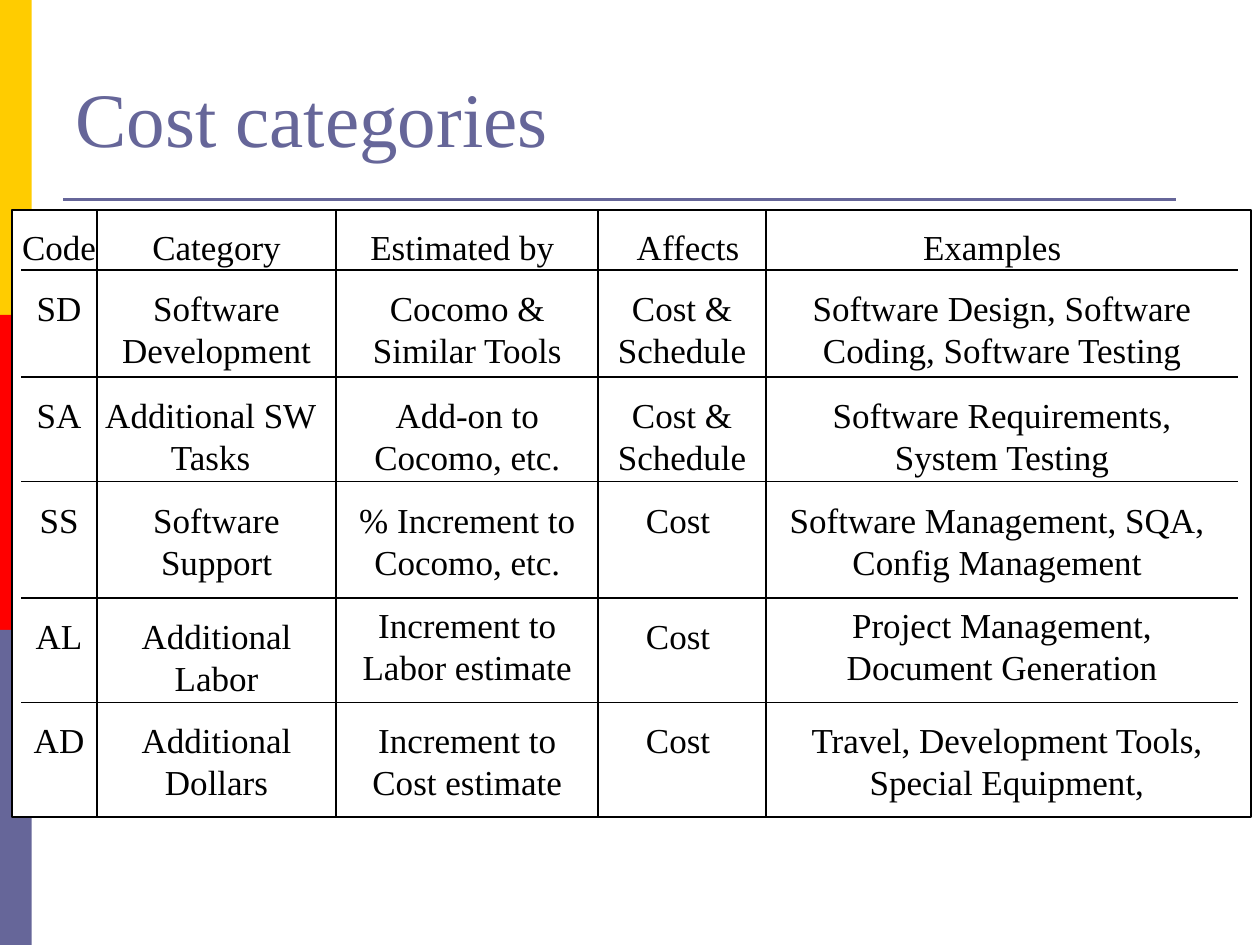
from itertools import accumulate

from lxml.etree import SubElement
from pptx import Presentation
from pptx.dml.color import RGBColor
from pptx.enum.shapes import MSO_CONNECTOR, MSO_SHAPE
from pptx.enum.text import MSO_ANCHOR, PP_ALIGN
from pptx.oxml.ns import qn
from pptx.util import Cm, Pt

FONT = "Times New Roman"
BLACK, WHITE, SLATE = "000000", "FFFFFF", "666699"
BAND_COLORS = ["FFCC00", "FF0000", SLATE]

TABLE_LEFT, TABLE_TOP = 0.43, 4.22
COL_WIDTHS = [1.52, 4.83, 5.28, 3.38, 9.52]
COL_MARGINS = [0, 0.25, 0.3, 0.25, 0.5]
ROW_HEIGHTS = [1.22, 2.16, 2.11, 2.34, 2.11, 2.31]
ROWS = [
    ["Code", "Category", "Estimated by", "Affects", "Examples"],
    ["SD", "Software Development", "Cocomo & Similar Tools", "Cost & Schedule",
     "Software Design, Software Coding, Software Testing"],
    ["SA", "Additional SW Tasks", "Add-on to Cocomo, etc.", "Cost & Schedule",
     "Software Requirements, System Testing"],
    ["SS", "Software Support", "% Increment to Cocomo, etc.", "Cost",
     "Software Management, SQA, Config Management"],
    ["AL", "Additional Labor", "Increment to Labor estimate", "Cost",
     "Project Management, Document Generation"],
    ["AD", "Additional Dollars", "Increment to Cost estimate", "Cost",
     "Travel, Development Tools, Special Equipment,"],
]
RAISED_CELLS = {(4, 2), (4, 4)}
# Sideways nudge of a cell's text, by (row, column)
NUDGES = {(0, 2): -0.1, (0, 3): 0.12, (0, 4): -0.2, (2, 1): -0.12,
          (3, 3): -0.08, (4, 3): -0.08, (5, 3): -0.08,
          (3, 4): -0.1, (5, 4): 0.1}


def rgb(value):
    return RGBColor.from_string(value)


class SlideBuilder:
    def __init__(self, slide):
        self.slide = slide

    def run(self, p, text, size, color):
        r = p.add_run()
        r.text = text
        r.font.name = FONT
        r.font.size = Pt(size)
        r.font.color.rgb = rgb(color)

    def rect(self, left, top, width, height, fill, line=None):
        sp = self.slide.shapes.add_shape(
            MSO_SHAPE.RECTANGLE, Cm(left), Cm(top), Cm(width), Cm(height))
        sp.shadow.inherit = False
        sp.fill.solid()
        sp.fill.fore_color.rgb = rgb(fill)
        if line:
            sp.line.color.rgb = rgb(line)
            sp.line.width = Pt(1)
        else:
            sp.line.fill.background()

    def line(self, x1, y1, x2, y2, color=BLACK, weight=1):
        cxn = self.slide.shapes.add_connector(
            MSO_CONNECTOR.STRAIGHT, Cm(x1), Cm(y1), Cm(x2), Cm(y2))
        cxn.line.color.rgb = rgb(color)
        cxn.line.width = Pt(weight)
        SubElement(cxn._element.spPr, qn("a:effectLst"))

    def title(self, text, left, top, width, height):
        box = self.slide.shapes.add_textbox(
            Cm(left), Cm(top), Cm(width), Cm(height))
        tf = box.text_frame
        tf.word_wrap = True
        tf.vertical_anchor = MSO_ANCHOR.MIDDLE
        self.run(tf.paragraphs[0], text, 44, SLATE)

    def clear_borders(self, cell):
        tc_pr = cell._tc.get_or_add_tcPr()
        for side in "LRTB":
            SubElement(SubElement(tc_pr, qn(f"a:ln{side}")), qn("a:noFill"))

    def table(self, left, top):
        """Add the cost table without borders; its rules are lines."""
        table = self.slide.shapes.add_table(
            len(ROWS), len(COL_WIDTHS), Cm(left), Cm(top),
            Cm(sum(COL_WIDTHS)), Cm(sum(ROW_HEIGHTS))).table
        table.first_row = table.horz_banding = False
        for col, width in zip(table.columns, COL_WIDTHS):
            col.width = Cm(width)
        for row, height in zip(table.rows, ROW_HEIGHTS):
            row.height = Cm(height)
        for i, texts in enumerate(ROWS):
            for j, text in enumerate(texts):
                cell = table.cell(i, j)
                self.clear_borders(cell)
                cell.fill.background()
                nudge = NUDGES.get((i, j), 0)
                cell.margin_left = Cm(COL_MARGINS[j] + nudge)
                cell.margin_right = Cm(COL_MARGINS[j] - nudge)
                cell.margin_top = Cm(0.13 if (i, j) in RAISED_CELLS else 0.34)
                cell.margin_bottom = 0
                p = cell.text_frame.paragraphs[0]
                p.alignment = PP_ALIGN.CENTER
                p.line_spacing = Pt(24)
                self.run(p, text, 20, BLACK)

    def table_rules(self, left, top):
        """Draw the lines between the table's rows and columns."""
        *xs, right = accumulate(COL_WIDTHS, initial=left)
        *ys, bottom = accumulate(ROW_HEIGHTS, initial=top)
        for x in xs[1:]:
            self.line(x, top, x, bottom)
        for y in ys[1:]:
            self.line(left, y, right, y)


def main():
    prs = Presentation()
    prs.slide_width, prs.slide_height = Cm(25.4), Cm(19.05)
    s = SlideBuilder(prs.slides.add_slide(prs.slide_layouts[6]))
    for i, color in enumerate(BAND_COLORS):
        s.rect(0, i * 6.35, 0.64, 6.35, color)
    s.line(1.27, 4.02, 23.7, 4.02, SLATE, 1.5)
    s.title("Cost categories", 1.27, 0.76, 22.86, 3.18)
    s.rect(0.25, 4.23, 24.97, 12.24, WHITE, BLACK)
    s.table(TABLE_LEFT, TABLE_TOP)
    s.table_rules(TABLE_LEFT, TABLE_TOP)
    prs.save("out.pptx")


if __name__ == "__main__":
    main()
